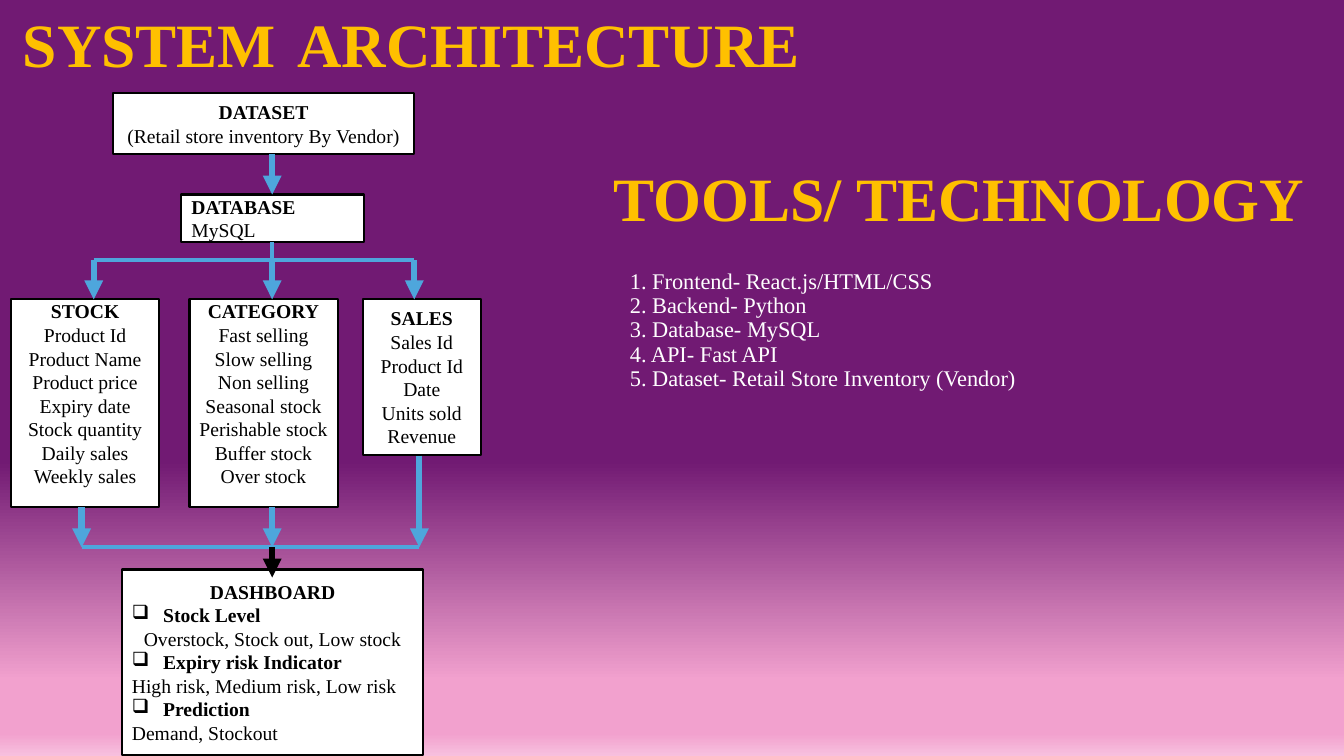
import pptx
import pptx.util
import pptx.dml.color
import pptx.enum.shapes
import pptx.enum.text
import pptx.oxml
import pptx.oxml.ns

THEME = {
    "purple": "711A73", "pink": "F2A1CE", "pale": "F7C0DE",
    "gold": "FFC000", "white": "FFFFFF", "black": "000000", "blue": "4EA6DC",
    "font": "Times New Roman", "gap_font": "League Spartan",
    "title": 44, "gap": 60, "list": 16, "body": 14,
    "arrow": 4.5, "rail": 3, "border": 1.5,
}
CELL = pptx.util.Inches(0.1)
ALIGN = pptx.enum.text.PP_ALIGN
ANCHOR = pptx.enum.text.MSO_ANCHOR
qn = pptx.oxml.ns.qn

deck = pptx.Presentation()
deck.slide_width = int(133.33 * CELL)
deck.slide_height = 75 * CELL
page = deck.slides.add_slide(deck.slide_layouts[6])


def write_text(box, lines, size, color, anchor, align, bold_lines, spacing=1.0):
    frame = box.text_frame
    frame.word_wrap = True
    frame.vertical_anchor = anchor
    frame.text = "\n".join(lines)
    for index, para in enumerate(frame.paragraphs):
        para.alignment = align
        para.line_spacing = spacing
        for span in para.runs:
            span.font.name = THEME["font"]
            span.font.size = pptx.util.Pt(size)
            span.font.bold = index in bold_lines
            span.font.color.rgb = pptx.dml.color.RGBColor.from_string(THEME[color])
    return frame


def draw_line(x1, y1, x2, y2, color="blue", arrow=True):
    line = page.shapes.add_connector(
        pptx.enum.shapes.MSO_CONNECTOR.STRAIGHT,
        *(int(value * CELL) for value in (x1, y1, x2, y2)))
    line.line.color.rgb = pptx.dml.color.RGBColor.from_string(THEME[color])
    line.line.width = pptx.util.Pt(THEME["arrow" if arrow else "rail"])
    if arrow:
        pptx.oxml.ns.qn
        head = line.line._get_or_add_ln().makeelement(qn("a:tailEnd"), {"type": "triangle"})
        line.line._get_or_add_ln().append(head)
    properties = line._element.spPr
    properties.append(properties.makeelement(qn("a:effectLst"), {}))


backdrop = page.background.fill
backdrop.gradient()
backdrop.gradient_angle = 270
stops = page._element.find(".//" + qn("a:gsLst"))
for stop in list(stops):
    stops.remove(stop)
for share, color in ((61, "purple"), (90, "pink"), (97, "pink"), (100, "pale")):
    stop = stops.makeelement(qn("a:gs"), {"pos": str(share * 1000)})
    stop.append(stop.makeelement(qn("a:srgbClr"), {"val": THEME[color]}))
    stops.append(stop)

headings = (
    (0, -1.1, 81.7, 10.1, ["SYSTEM"], "title", "gold", ALIGN.CENTER, {0}),
    (57.1, 13.7, 76.2, 10.1, ["TOOLS/ TECHNOLOGY"], "title", "gold", ALIGN.CENTER, {0}),
    (61.5, 23.9, 67.2, 15.4, [
        "1. Frontend- React.js/HTML/CSS", "2. Backend- Python", "3. Database- MySQL",
        "4. API- Fast API", "5. Dataset- Retail Store Inventory (Vendor)",
    ], "list", "white", ALIGN.LEFT, set()),
)
for left, top, width, height, lines, size, color, align, bold_lines in headings:
    box = page.shapes.add_textbox(*(int(value * CELL) for value in (left, top, width, height)))
    frame = write_text(box, lines, THEME[size], color, ANCHOR.BOTTOM, align, bold_lines, 0.9)
    if lines == ["SYSTEM"]:
        for text, font, size in ((" ", "gap_font", "gap"), ("ARCHITECTURE", "font", "title")):
            span = frame.paragraphs[0].add_run()
            span.text = text
            span.font.name = THEME[font]
            span.font.size = pptx.util.Pt(THEME[size])
            span.font.bold = text != " "
            span.font.color.rgb = pptx.dml.color.RGBColor.from_string(THEME["gold"])

stages = (
    (11.2, 9.2, 29.9, 6.1, 0.5, 0, ANCHOR.MIDDLE, ALIGN.CENTER,
     ["DATASET", "(Retail store inventory By Vendor)"]),
    (18, 19.3, 18.1, 4.7, 1, 0, ANCHOR.MIDDLE, ALIGN.LEFT, ["DATABASE", "MySQL"]),
    (1.1, 29.7, 14.7, 20.6, 0.5, 0, ANCHOR.TOP, ALIGN.CENTER,
     ["STOCK", "Product Id", "Product Name", "Product price", "Expiry date",
      "Stock quantity", "Daily sales", "Weekly sales"]),
    (18.8, 29.7, 14.7, 20.6, 0.5, 0, ANCHOR.TOP, ALIGN.CENTER,
     ["CATEGORY", "Fast selling", "Slow selling", "Non selling", "Seasonal stock",
      "Perishable stock", "Buffer stock", "Over stock"]),
    (36, 29.7, 11.7, 15.4, 0.5, 0, ANCHOR.MIDDLE, ALIGN.CENTER,
     ["SALES", "Sales Id", "Product Id", "Date", "Units sold", "Revenue"]),
    (12.1, 56.5, 29.9, 18.4, 1, 1, ANCHOR.TOP, ALIGN.LEFT,
     ["DASHBOARD", "Stock Level", "Overstock, Stock out, Low stock",
      "Expiry risk Indicator", "High risk, Medium risk, Low risk",
      "Prediction", "Demand, Stockout"]),
)
for left, top, width, height, side, head, anchor, align, lines in stages:
    box = page.shapes.add_shape(
        pptx.enum.shapes.MSO_SHAPE.RECTANGLE,
        *(int(value * CELL) for value in (left, top, width, height)))
    box.shadow.inherit = False
    box.fill.solid()
    box.fill.fore_color.rgb = pptx.dml.color.RGBColor.from_string(THEME["white"])
    box.line.color.rgb = pptx.dml.color.RGBColor.from_string(THEME["black"])
    box.line.width = pptx.util.Pt(THEME["border"])
    dashboard = lines[0] == "DASHBOARD"
    bold_lines = {0, 1, 3, 5} if dashboard else {0}
    frame = write_text(box, lines, THEME["body"], "black", anchor, align, bold_lines)
    frame.margin_left = frame.margin_right = int(side * CELL)
    frame.margin_top, frame.margin_bottom = head * CELL, 0
    if dashboard:
        for index in (0, 2):
            frame.paragraphs[index].alignment = ALIGN.CENTER
        for index in (1, 3, 5):
            properties = frame.paragraphs[index]._p.get_or_add_pPr()
            properties.set("marL", str(int(3.1 * CELL)))
            properties.set("indent", str(-int(3.1 * CELL)))
            properties.append(properties.makeelement(qn("a:buChar"), {"char": "❑"}))

axis, split, merge = 27, 25.8, 54.3
draw_line(axis, 15.3, axis, 19.3)
for x in (9.3, axis, 41.1):
    draw_line(x, split, x, 29.7)
draw_line(9.3, split, 41.1, split, arrow=False)
draw_line(axis, 24, axis, 26.5, arrow=False)
draw_line(8.1, merge, 41.6, merge, arrow=False)
for x, bottom in ((8.1, 50.3), (axis, 50.3), (41.6, 45.2)):
    draw_line(x, bottom, x, merge)
draw_line(axis, merge, axis, 57.3, "black")

deck.save("out.pptx")
